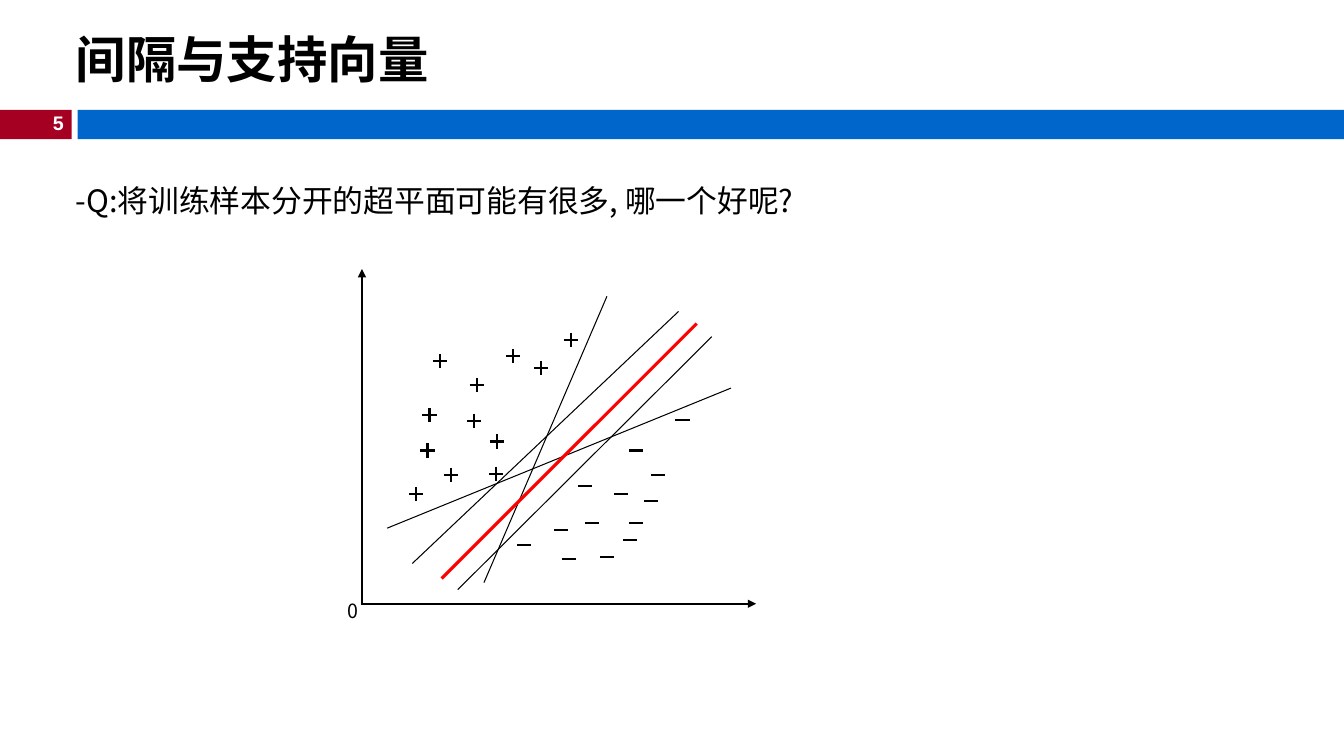
from lxml import etree
from pptx import Presentation
from pptx.dml.color import RGBColor
from pptx.enum import shapes, text
from pptx.oxml import ns
from pptx.util import Inches, Pt

HUES = {"red": "A50021", "blue": "0066CC", "best": "FF0000",
        "black": "000000", "white": "FFFFFF"}


def draw(parent, x1, y1, x2, y2, width, hue="black", arrow=False):
    line = parent.add_connector(shapes.MSO_CONNECTOR.STRAIGHT, Inches(x1),
                                Inches(y1), Inches(x2), Inches(y2))
    line.line.width = Pt(width)
    line.line.color.rgb = RGBColor.from_string(HUES[hue])
    props = line._element.spPr
    if arrow:
        etree.SubElement(props.find(ns.qn("a:ln")), ns.qn("a:tailEnd"), type="triangle")
    etree.SubElement(props, ns.qn("a:effectLst"))


def write(box, words, place, size, face, hue="black", bold=False, wrap=True):
    box.left, box.top, box.width, box.height = [Inches(v) for v in place]
    frame = box.text_frame
    frame.text = words
    frame.word_wrap = wrap
    frame.auto_size = text.MSO_AUTO_SIZE.NONE if wrap else text.MSO_AUTO_SIZE.SHAPE_TO_FIT_TEXT
    para = frame.paragraphs[0]
    para.alignment = text.PP_ALIGN.LEFT
    run = para.runs[0]
    run.font.size = Pt(size)
    run.font.bold = bold
    run.font.name = face
    run.font.color.rgb = RGBColor.from_string(HUES[hue])
    etree.SubElement(run._r.get_or_add_rPr(), ns.qn("a:ea"), typeface="Noto Sans CJK SC")
    return para


deck = Presentation()
deck.slide_width, deck.slide_height = Inches(13.33), Inches(7.5)
slide = deck.slides.add_slide(deck.slide_layouts[1])
items = slide.shapes

for left, width, hue in [(0, 0.71, "red"), (0.77, 12.56, "blue")]:
    bar = items.add_shape(shapes.MSO_SHAPE.RECTANGLE, Inches(left), Inches(1.09),
                          Inches(width), Inches(0.29))
    bar.shadow.inherit = False
    bar.fill.solid()
    bar.fill.fore_color.rgb = RGBColor.from_string(HUES[hue])
    bar.line.fill.background()

page = write(items.add_textbox(0, 0, 0, 0), "5", (0.29, 1.05, 0.44, 0.34), 14,
             "Arial", "white", bold=True, wrap=False)
page.alignment = text.PP_ALIGN.RIGHT

write(items.title, "间隔与支持向量", (0.65, 0.11, 9.54, 0.94), 36, "Arial Narrow", bold=True)
items.title.text_frame.vertical_anchor = text.MSO_ANCHOR.MIDDLE

ask = write(slide.placeholders[1], "-Q:将训练样本分开的超平面可能有很多, 哪一个好呢?",
            (0.65, 1.79, 9.42, 0.49), 22, "Noto Sans CJK SC")
ask.line_spacing = 0.9
ask.space_before = Pt(0)
props = ask._p.get_or_add_pPr()
props.set("marL", "0")
props.set("indent", "0")
etree.SubElement(props, ns.qn("a:buNone"))

draw(items, 3.59, 5.99, 3.59, 2.67, 1.5, arrow=True)
draw(items, 3.58, 5.99, 7.5, 5.99, 1.5, arrow=True)
write(items.add_textbox(0, 0, 0, 0), "0", (3.35, 5.89, 0.32, 0.34), 14,
      "Noto Sans CJK SC", wrap=False)

ARM = 0.07
plus = [(5.09, 3.53), (4.93, 4.38), (4.7, 4.18), (4.24, 4.47), (4.47, 4.71), (4.92, 4.7),
        (4.36, 3.58), (5.66, 3.37), (5.37, 3.65), (4.13, 4.9), (4.73, 3.82), (4.26, 4.12)]
for x, y in plus:
    mark = items.add_group_shape().shapes
    draw(mark, x - ARM, y, x + ARM, y, 1.5)
    draw(mark, x, y - ARM, x, y + ARM, 1.5)

minus = [(6.46, 4.97), (5.8, 4.82), (5.64, 5.55), (5.2, 5.41), (6.25, 5.36), (6.31, 5.19),
         (5.56, 5.26), (6.53, 4.71), (5.87, 5.19), (6.02, 5.53), (6.16, 4.9), (6.31, 4.47),
         (6.77, 4.17)]
for x, y in minus:
    draw(items, x - ARM, y, x + ARM, y, 1.5)

planes = [(7.25, 3.85, 3.84, 5.24), (6.02, 2.94, 4.8, 5.78),
          (7.06, 3.34, 4.54, 5.85), (6.73, 3.09, 4.09, 5.59)]
for ends in planes:
    draw(items, *ends, 0.75)
draw(items, 4.38, 5.74, 6.91, 3.21, 2.25, "best")

deck.save("out.pptx")
